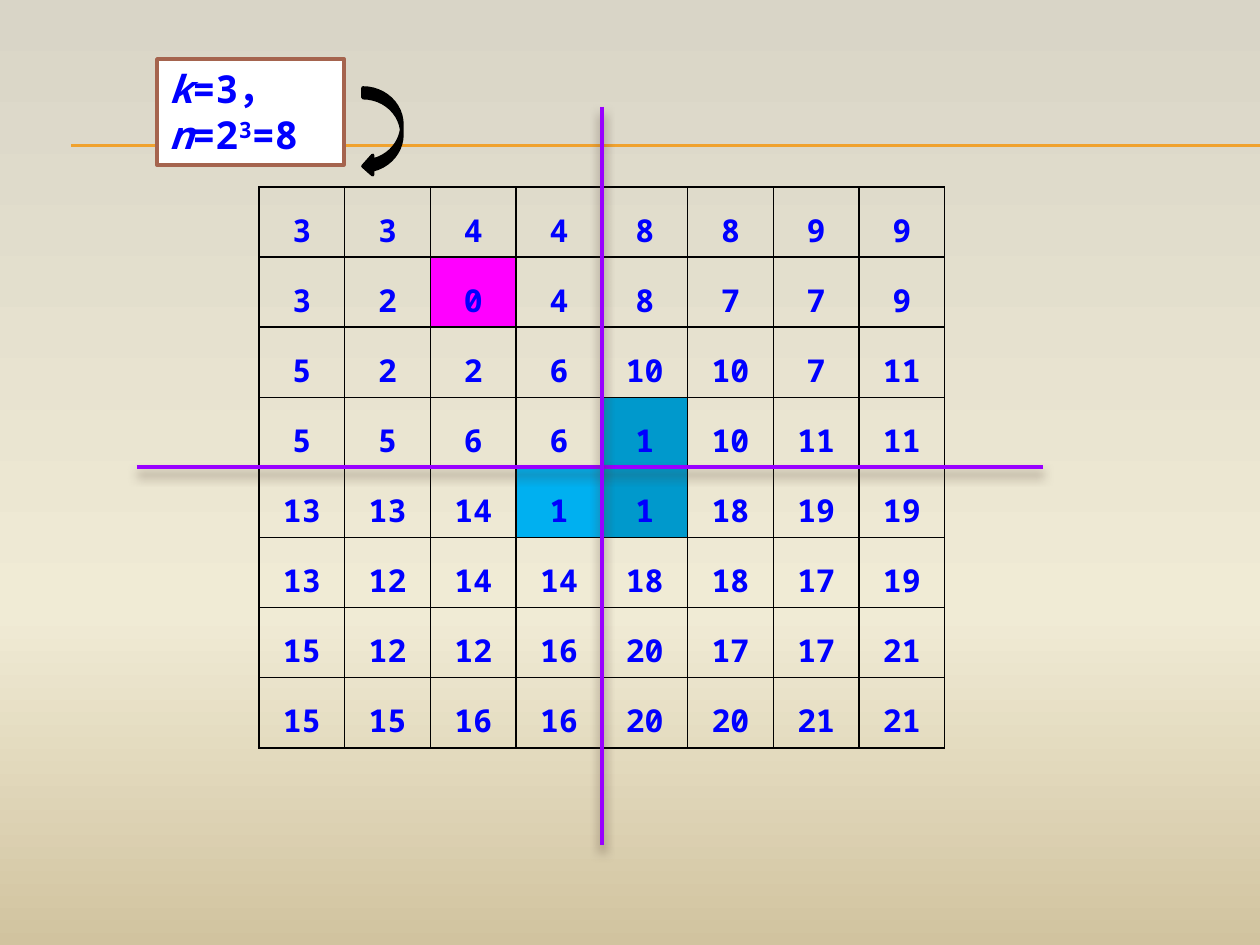
import copy
import pptx
import pptx.util
import pptx.dml.color
import pptx.enum.shapes
import pptx.enum.text
import pptx.oxml
import pptx.oxml.ns
import lxml.etree

SCALE = 914400 / 126
FONT = "Noto Sans Mono"
BLUE, BLACK, PURPLE = "0000FF", "000000", "9900FF"
qn = pptx.oxml.ns.qn
SHAPES = pptx.enum.shapes.MSO_SHAPE

TILES = [
    [3, 3, 4, 4, 8, 8, 9, 9],
    [3, 2, 0, 4, 8, 7, 7, 9],
    [5, 2, 2, 6, 10, 10, 7, 11],
    [5, 5, 6, 6, 1, 10, 11, 11],
    [13, 13, 14, 1, 1, 18, 19, 19],
    [13, 12, 14, 14, 18, 18, 17, 19],
    [15, 12, 12, 16, 20, 17, 17, 21],
    [15, 15, 16, 16, 20, 20, 21, 21],
]
TILE_FILLS = {(1, 2): "FF00FF", (3, 4): "0099CC", (4, 3): "00B0F0", (4, 4): "0099CC"}


def px(length):
    return pptx.util.Emu(round(length * SCALE))


def color(hex_code):
    return pptx.dml.color.RGBColor.from_string(hex_code)


def add_text(paragraph, text, size=18, italic=False, baseline=None):
    run = paragraph.add_run()
    run.text = text
    font = run.font
    font.name, font.size = FONT, pptx.util.Pt(size)
    font.bold, font.italic = True, italic
    font.color.rgb = color(BLUE)
    if baseline:
        run.font._element.set("baseline", str(baseline))


def paint_background(slide):
    fill = slide.background.fill
    fill.gradient()
    fill.gradient_angle = 270
    stop_list = slide.element.find(".//" + qn("a:gsLst"))
    stop_list.insert(1, copy.deepcopy(stop_list[0]))
    shades = [(0, "D9D5C7"), (0.65, "F0EBD5"), (1, "D1C39F")]
    for stop, (position, shade) in zip(fill.gradient_stops, shades):
        stop.position = position
        stop.color.rgb = color(shade)


def add_line(slide, start, end, shade, width, shadow=False):
    line = slide.shapes.add_connector(
        pptx.enum.shapes.MSO_CONNECTOR.STRAIGHT, *map(px, start + end))
    line.line.color.rgb = color(shade)
    line.line.width = pptx.util.Pt(width)
    effects = lxml.etree.SubElement(line._element.spPr, qn("a:effectLst"))
    if shadow:
        outer = lxml.etree.SubElement(
            effects, qn("a:outerShdw"), blurRad="76200", dist="50800",
            dir="5400000", algn="ctr", rotWithShape="0")
        tint = lxml.etree.SubElement(outer, qn("a:srgbClr"), val="4E3B30")
        lxml.etree.SubElement(tint, qn("a:alpha"), val="60000")


def add_box(slide, kind, box, fill, outline):
    shape = slide.shapes.add_shape(kind, *map(px, box))
    shape.shadow.inherit = False
    shape.fill.solid()
    shape.fill.fore_color.rgb = color(fill)
    shape.line.color.rgb = color(outline)
    shape.line.width = pptx.util.Pt(2)
    return shape


def add_size_label(slide, left, top, width, height):
    label = add_box(slide, SHAPES.RECTANGLE, (left, top, width, height), "FFFFFF", "A5644E")
    frame = label.text_frame
    frame.word_wrap = True
    frame.vertical_anchor = pptx.enum.text.MSO_ANCHOR.TOP
    formula = frame.paragraphs[0]
    formula.alignment = pptx.enum.text.PP_ALIGN.LEFT
    add_text(formula, "k", size=22, italic=True)
    add_text(formula, "=3，", size=22)
    add_text(formula, "n", size=22, italic=True)
    add_text(formula, "=2", size=22)
    add_text(formula, "3", size=22, baseline=30000)
    add_text(formula, "=8", size=22)
    add_box(slide, SHAPES.CURVED_LEFT_ARROW,
            (left + width + 19, top + 29, 39, 88), BLACK, BLACK)


def add_borders(cell):
    properties = cell._tc.get_or_add_tcPr()
    for index, side in enumerate(("a:lnL", "a:lnR", "a:lnT", "a:lnB")):
        border = lxml.etree.Element(qn(side), w="12700")
        ink = lxml.etree.SubElement(border, qn("a:solidFill"))
        lxml.etree.SubElement(ink, qn("a:srgbClr"), val=BLACK)
        properties.insert(index, border)


def add_board(slide, left, top, width, height):
    count = len(TILES)
    board = slide.shapes.add_table(count, count, *map(px, (left, top, width, height))).table
    board.first_row = board.horz_banding = False
    for column, row in zip(board.columns, board.rows):
        column.width, row.height = px(width / count), px(height / count)
    for r, numbers in enumerate(TILES):
        for c, number in enumerate(numbers):
            cell = board.cell(r, c)
            cell.margin_left = cell.margin_right = px(9)
            cell.margin_top = cell.margin_bottom = 0
            if (r, c) in TILE_FILLS:
                cell.fill.solid()
                cell.fill.fore_color.rgb = color(TILE_FILLS[r, c])
            else:
                cell.fill.background()
            add_borders(cell)
            paragraph = cell.text_frame.paragraphs[0]
            paragraph.alignment = pptx.enum.text.PP_ALIGN.CENTER
            paragraph.line_spacing = 1.5
            add_text(paragraph, str(number))


def add_dividers(slide, left, top, width, height):
    middle_x, middle_y = left + width // 2, top + height // 2
    add_line(slide, (left - 122, middle_y), (left + width + 98, middle_y), PURPLE, 2, shadow=True)
    add_line(slide, (middle_x, top - 80), (middle_x, top + height + 97), PURPLE, 2, shadow=True)


presentation = pptx.Presentation()
presentation.slide_width, presentation.slide_height = px(1260), px(945)
slide = presentation.slides.add_slide(presentation.slide_layouts[6])
board_box = (259, 187, 686, 561)

paint_background(slide)
for rule_y in (145, 146):
    add_line(slide, (71, rule_y), (1260, rule_y), "F0A22E", 0.75)
add_size_label(slide, 157, 59, 187, 106)
add_board(slide, *board_box)
add_dividers(slide, *board_box)
presentation.save("out.pptx")
